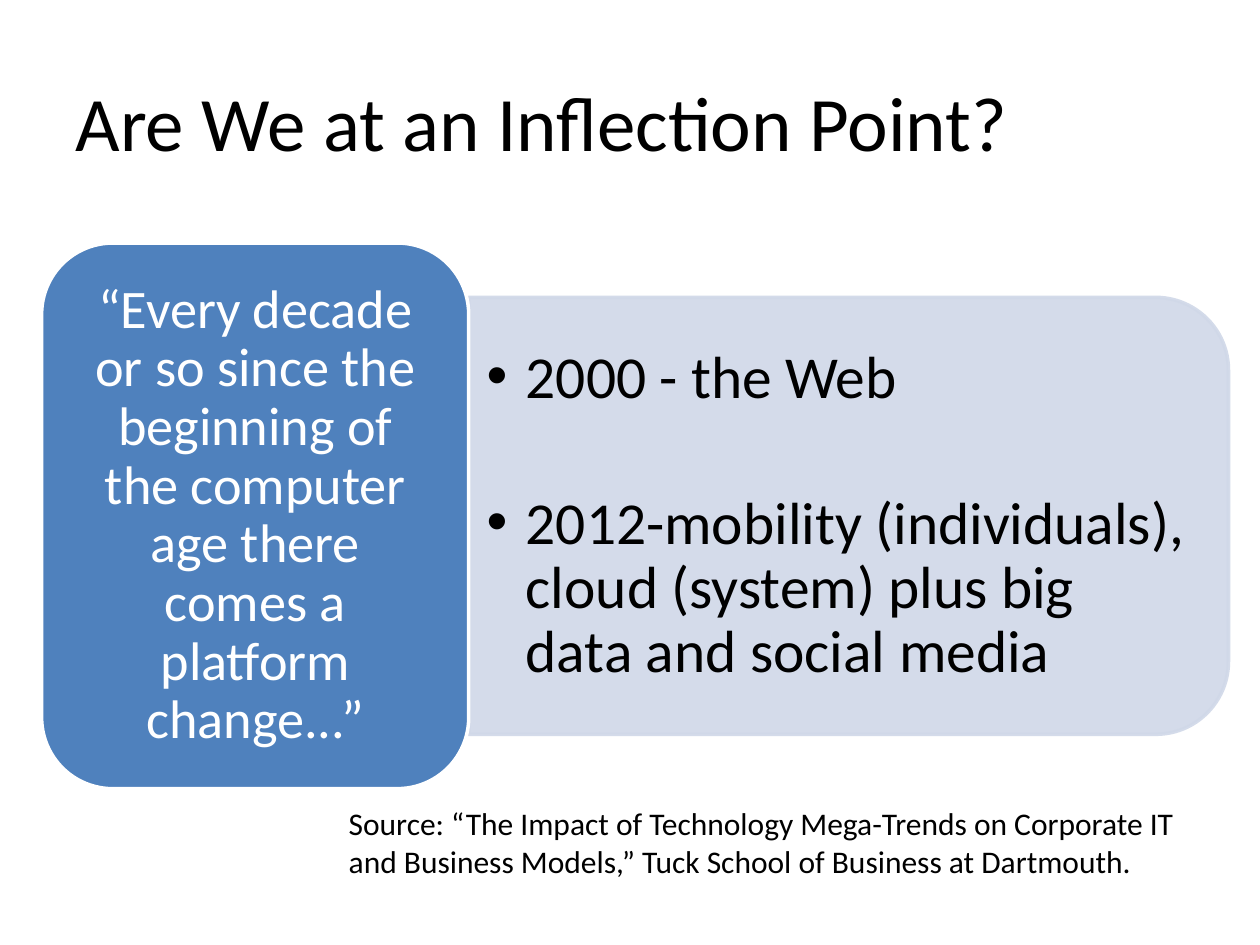
from lxml import etree
from pptx import Presentation
from pptx.dml.color import RGBColor
from pptx.enum.shapes import MSO_SHAPE
from pptx.enum.text import MSO_ANCHOR, MSO_AUTO_SIZE, PP_ALIGN
from pptx.oxml.ns import qn
from pptx.util import Cm, Pt

ROUND_TOP, ROUNDED = MSO_SHAPE.ROUND_2_SAME_RECTANGLE, MSO_SHAPE.ROUNDED_RECTANGLE
MIDDLE = MSO_ANCHOR.MIDDLE
LEFT, CENTER = PP_ALIGN.LEFT, PP_ALIGN.CENTER
NO_AUTOFIT = MSO_AUTO_SIZE.NONE

COLORS = {"text": "000000", "panel": "D0D8E8", "quote": "4F81BD", "white": "FFFFFF"}


def format_paragraph(paragraph, size, color, align=LEFT, line_spacing=None):
    paragraph.alignment = align
    paragraph.line_spacing = line_spacing
    paragraph.space_before = Pt(0)
    paragraph.font.name = "Calibri"
    paragraph.font.size = Pt(size)
    paragraph.font.color.rgb = RGBColor.from_string(COLORS[color])


def add_block(preset, left, top, width, height, fill, line):
    block = slide.shapes.add_shape(preset, Cm(left), Cm(top), Cm(width), Cm(height))
    block.shadow.inherit = False
    block.fill.solid()
    block.fill.fore_color.rgb = RGBColor.from_string(COLORS[fill])
    block.line.color.rgb = RGBColor.from_string(COLORS[line])
    block.line.width = Pt(2)
    return block


prs = Presentation()
prs.slide_width, prs.slide_height = Cm(25.4), Cm(19.05)
slide = prs.slides.add_slide(prs.slide_layouts[1])

# Title
title = slide.shapes.title
title.left, title.top, title.width, title.height = Cm(1.27), Cm(0.84), Cm(22.86), Cm(3.18)
title.text_frame.text = "Are We at an Inflection Point?"
title.text_frame.vertical_anchor = MIDDLE
format_paragraph(title.text_frame.paragraphs[0], 44, "text")

# Platform changes: bulleted list
changes = slide.placeholders[1]
changes.left, changes.top, changes.width, changes.height = Cm(9.45), Cm(6.43), Cm(14.88), Cm(7.95)
frame = changes.text_frame
frame.text = (
    "2000 - the Web\n"
    "2012-mobility (individuals), cloud (system) plus big data and social media"
)
frame.auto_size = NO_AUTOFIT
frame.vertical_anchor = MIDDLE
frame.margin_left = frame.margin_right = Cm(0.36)
frame.margin_top = frame.margin_bottom = Cm(0.18)
for change in frame.paragraphs:
    properties = change._p.get_or_add_pPr()
    properties.set("marL", str(Cm(0.79)))
    properties.set("indent", str(Cm(-0.79)))
    format_paragraph(change, 34, "text", line_spacing=0.9)
frame.paragraphs[0].space_after = Pt(46.8)

# Pale panel behind the list, turned so its round corners face right
panel = add_block(ROUND_TOP, 12.7, 2.74, 8.81, 15.32, "panel", "panel")
panel.rotation = 90
for color in panel.element.spPr.iter(qn("a:srgbClr")):
    etree.SubElement(color, qn("a:alpha"), val="90000")
changes.element.addprevious(panel.element)

# Quotation
quote = add_block(ROUNDED, 0.84, 4.9, 8.61, 11, "quote", "white")
frame = quote.text_frame
frame.text = (
    "“Every decade or so since the beginning of the computer age "
    "there comes a platform change...”"
)
frame.word_wrap = True
frame.vertical_anchor = MIDDLE
# The preset's own text inset (about 0.42 cm) adds to these margins
frame.margin_left = frame.margin_right = Cm(0.33)
frame.margin_top = frame.margin_bottom = Cm(0.16)
format_paragraph(frame.paragraphs[0], 31, "white", CENTER, 0.9)

# Source note
source = slide.shapes.add_textbox(Cm(6.78), Cm(16.08), Cm(17.78), Cm(2.57))
source.text_frame.word_wrap = True
source.text_frame.text = (
    "Source: “The Impact of Technology Mega-Trends on Corporate IT and "
    "Business Models,” Tuck School of Business at Dartmouth."
)
format_paragraph(source.text_frame.paragraphs[0], 18, "text")

prs.save("out.pptx")
